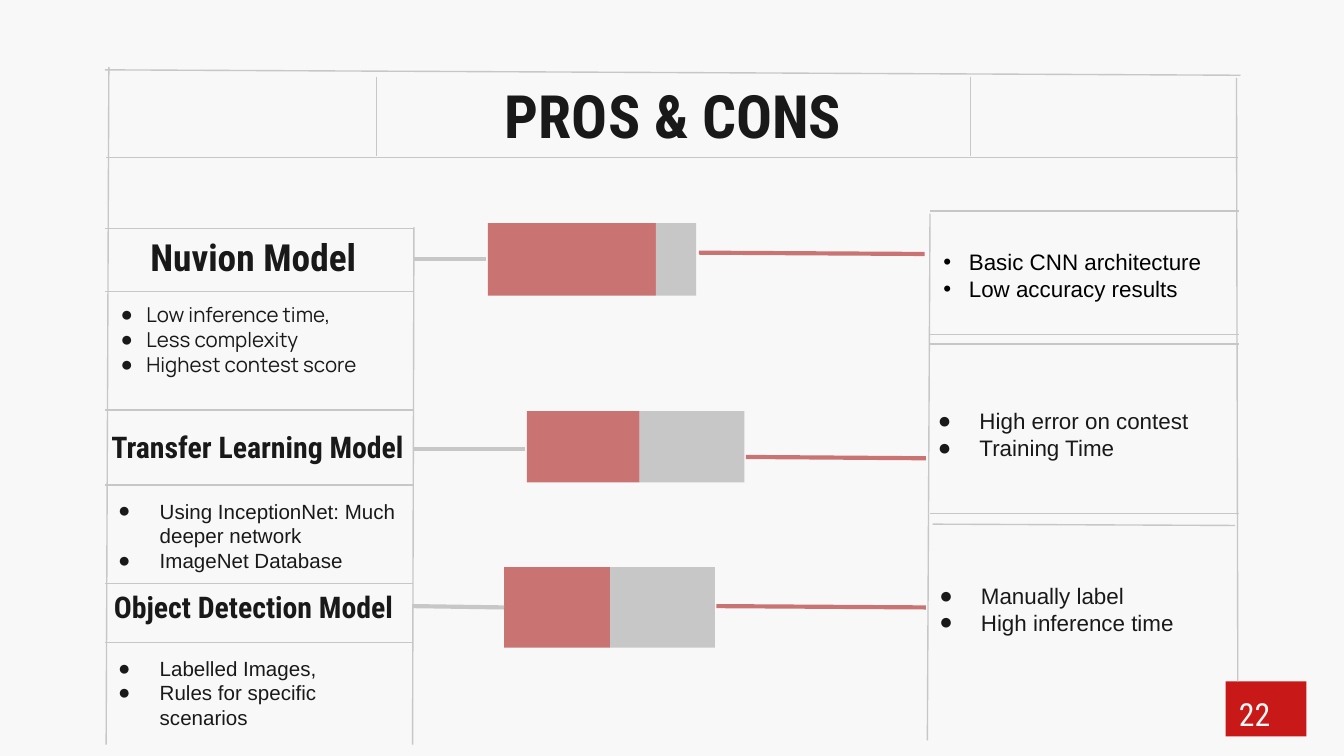
from pptx import Presentation
from pptx.dml.color import RGBColor
from pptx.enum.shapes import MSO_CONNECTOR, MSO_SHAPE
from pptx.enum.text import MSO_ANCHOR, MSO_AUTO_SIZE, PP_ALIGN
from pptx.oxml.ns import qn
from pptx.util import Inches, Pt
from lxml.etree import SubElement

INK, GREY, ROSE, RED, PAPER = "191919", "C7C7C7", "CA7373", "C91818", "F8F8F8"
HEADING, BODY = "Roboto Condensed", "Arial"


def color(value):
    return RGBColor.from_string(value)


class SlideStyle:
    def __init__(self, slide):
        self.slide = slide
        slide.background.fill.solid()
        slide.background.fill.fore_color.rgb = color(PAPER)

    def frame(self, shape, text, size, font, ink=INK, bold=False,
              anchor=MSO_ANCHOR.TOP, align=PP_ALIGN.LEFT, inset=0.1):
        frame = shape.text_frame
        frame.word_wrap = True
        frame.auto_size = MSO_AUTO_SIZE.NONE
        frame.vertical_anchor = anchor
        frame.margin_left = frame.margin_right = Inches(0.1)
        frame.margin_top = frame.margin_bottom = Inches(inset)
        frame.text = text
        for paragraph in frame.paragraphs:
            paragraph.alignment = align
            for run in paragraph.runs:
                run.font.name = font
                run.font.size = Pt(size)
                run.font.bold = bold
                run.font.color.rgb = color(ink)
        return frame

    def title(self, text, *box):
        title = self.slide.shapes.title
        title.left, title.top, title.width, title.height = map(Inches, box)
        self.frame(title, text, 32, HEADING, bold=True,
                   anchor=MSO_ANCHOR.MIDDLE, align=PP_ALIGN.CENTER)

    def heading(self, text, box, size=16, align=PP_ALIGN.LEFT):
        label = self.slide.shapes.add_textbox(*map(Inches, box))
        self.frame(label, text, size, HEADING, bold=True,
                   anchor=MSO_ANCHOR.MIDDLE, align=align)

    def bullets(self, items, box, size, font=BODY, indent=0.31, mark="●",
                ink=INK, inset=0.1):
        points = self.slide.shapes.add_textbox(*map(Inches, box))
        frame = self.frame(points, "\n".join(items), size, font, ink, inset=inset)
        for paragraph in frame.paragraphs:
            properties = paragraph._p.get_or_add_pPr()
            properties.set("marL", str(Inches(indent)))
            properties.set("indent", str(-Inches(indent)))
            fill = SubElement(properties, qn("a:buClr"))
            SubElement(fill, qn("a:srgbClr"), val=ink)
            SubElement(properties, qn("a:buFont"), typeface=BODY)
            SubElement(properties, qn("a:buChar"), char=mark)

    def block(self, left, top, width, height, fill):
        block = self.slide.shapes.add_shape(
            MSO_SHAPE.RECTANGLE, *map(Inches, (left, top, width, height)))
        block.shadow.inherit = False
        block.fill.solid()
        block.fill.fore_color.rgb = color(fill)
        block.line.fill.background()
        return block

    def line(self, x1, y1, x2, y2, stroke=GREY, weight=0.75):
        line = self.slide.shapes.add_connector(
            MSO_CONNECTOR.STRAIGHT, *map(Inches, (x1, y1, x2, y2)))
        line.line.color.rgb = color(stroke)
        line.line.width = Pt(weight)
        SubElement(line._element.spPr, qn("a:effectLst"))


def main():
    # Widescreen page, 16:9
    deck = Presentation()
    deck.slide_width = Inches(10)
    deck.slide_height = deck.slide_width * 9 // 16
    page = SlideStyle(deck.slides.add_slide(deck.slide_layouts[5]))

    page.title("PROS & CONS", 0.79, 0.58, 8.44, 0.55)

    # Balance bars: left, split, right, top, height
    for left, split, right, top, height in (
            (3.63, 4.88, 5.18, 1.66, 0.54),
            (3.92, 4.76, 5.54, 3.06, 0.53),
            (3.75, 4.54, 5.32, 4.22, 0.6)):
        page.block(left, top, split - left, height, ROSE)
        page.block(split, top, right - split, height, GREY)

    # Links from the bars to the pros (grey) and cons (rose)
    for pro_link in ((3.07, 1.93, 3.62, 1.93), (3.07, 3.34, 3.91, 3.34),
                     (3.07, 4.51, 3.75, 4.52)):
        page.line(*pro_link, GREY, 2.25)
    for con_link in ((5.2, 1.88, 6.88, 1.89), (5.55, 3.4, 6.89, 3.41),
                     (5.33, 4.51, 6.89, 4.52)):
        page.line(*con_link, ROSE, 2.25)

    # Page number
    number = page.block(9.12, 5.07, 0.6, 0.41, RED)
    page.frame(number, "22", 17, HEADING, PAPER)

    # Outer frame and title band
    for edge in ((9.2, 0.58, 9.21, 5.07), (0.79, 1.17, 9.21, 1.17),
                 (0.78, 0.52, 9.23, 0.56), (0.81, 0.5, 0.79, 5.54),
                 (2.8, 0.57, 2.8, 1.16), (7.22, 0.57, 7.22, 1.16)):
        page.line(*edge)

    # Rules of the pros and cons columns
    page.line(3.08, 1.69, 3.07, 5.54)
    for y in (1.7, 2.17, 3.05, 3.61, 4.34, 4.78):
        page.line(0.78, y, 3.07, y)
    page.line(6.92, 1.59, 6.9, 5.51)
    for y in (1.57, 2.49, 2.56, 3.82):
        page.line(6.92, y, 9.22, y)
    page.line(6.94, 3.9, 9.19, 3.91)

    # Model names
    page.heading("Nuvion Model", (0.56, 1.72, 2.19, 0.38), 20, PP_ALIGN.RIGHT)
    page.heading("Transfer Learning Model", (0.73, 3.07, 4.42, 0.5))
    page.heading("Object Detection Model", (0.75, 4.23, 3.6, 0.56))

    # Pros
    page.bullets(["Low inference time,", "Less complexity", "Highest contest score"],
                 (0.8, 2.15, 2.32, 0.78), 11, "Manrope", indent=0.19)
    page.bullets(["Using InceptionNet: Much deeper network", "ImageNet Database"],
                 (0.78, 3.61, 2.28, 0.71), 11)
    page.bullets(["Labelled Images,", "Rules for specific scenarios"],
                 (0.78, 4.78, 2.35, 0.9), 11)

    # Cons
    page.bullets(["Basic CNN architecture", "Low accuracy results"],
                 (6.92, 1.8, 2.71, 0.5), 12, indent=0.19, mark="•",
                 ink="000000", inset=0.05)
    page.bullets(["High error on contest", "Training Time"],
                 (6.88, 2.93, 2.2, 1.09), 12)
    page.bullets(["Manually label", "High inference time"],
                 (6.89, 4.23, 2.28, 0.71), 12)

    deck.save("out.pptx")


if __name__ == "__main__":
    main()
